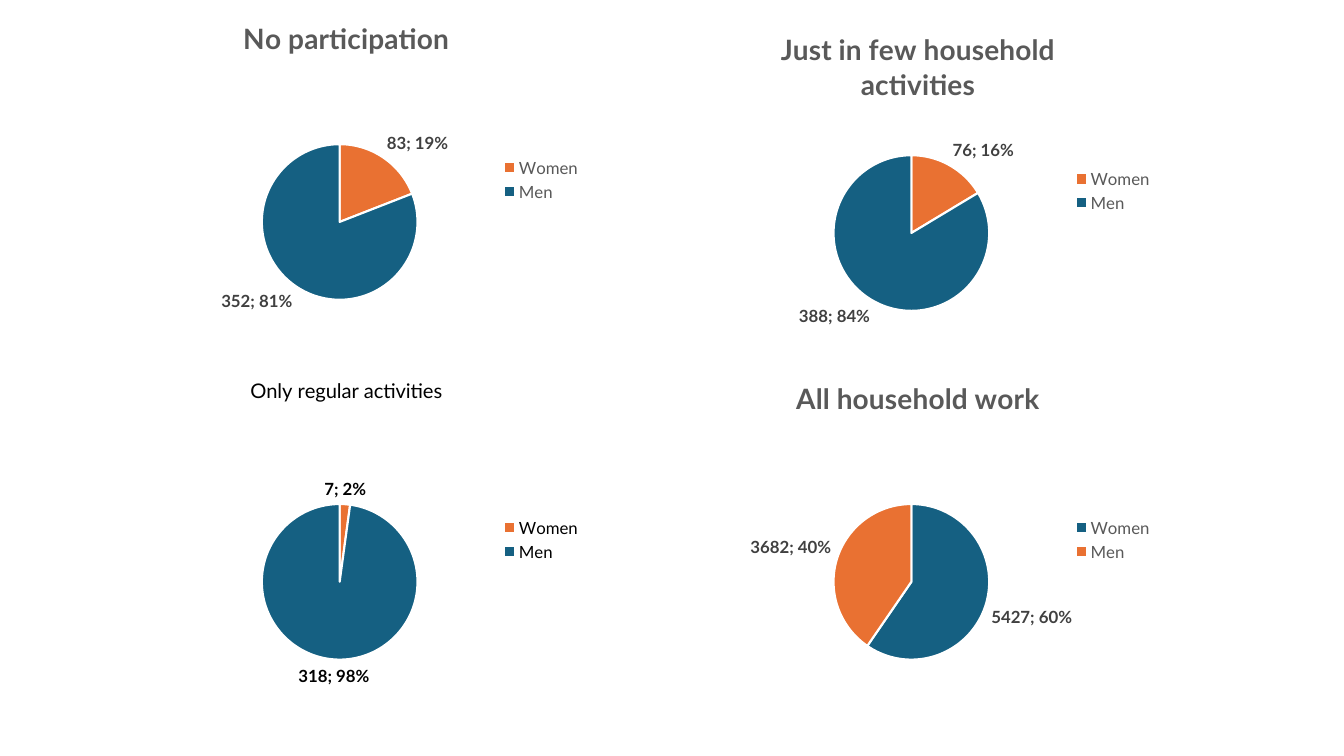
import dataclasses

import pptx
import pptx.chart.chart
import pptx.chart.data
import pptx.dml.color
import pptx.enum.chart
import pptx.oxml
import pptx.oxml.ns
import pptx.text.text
import pptx.util

FONT = "Lato"
COLORS = {
    "women": "E97132",
    "men": "156082",
    "grey": "595959",
    "label": "404040",
    "black": "000000",
    "white": "FFFFFF",
}
CHART_SIZE = 4.87, 3.57
PLOT_LAYOUT = {"x": 0.328, "y": 0.234, "w": 0.317, "h": 0.766}
LEFT, RIGHT = 1, 6.67
PIE_COLORS = "women", "men"


@dataclasses.dataclass
class PieChart:
    title: str
    left: float
    top: float
    counts: tuple[int, int]
    percents: tuple[int, int]
    count_colors: tuple[str, str] = PIE_COLORS
    title_size: float = 20
    title_bold: bool = True
    text_color: str = "grey"
    label_color: str = "label"


PIES = [
    PieChart("No participation", LEFT, 0, (83, 352), (19, 81)),
    PieChart("Just in few household activities", RIGHT, 0.11, (76, 388), (16, 84)),
    PieChart("Only regular activities", LEFT, 3.57, (7, 318), (2, 98),
             title_size=14.4, title_bold=False, text_color="black", label_color="black"),
    PieChart("All household work", RIGHT, 3.57, (5427, 3682), (60, 40), ("men", "women")),
]


def rgb(name: str) -> pptx.dml.color.RGBColor:
    return pptx.dml.color.RGBColor.from_string(COLORS[name])


def format_font(font: pptx.text.text.Font, size: float, color: str, bold: bool = False) -> None:
    values = {"name": FONT, "size": pptx.util.Pt(size), "bold": bold}
    for attribute, value in values.items():
        setattr(font, attribute, value)
    font.color.rgb = rgb(color)


def place_plot(chart: pptx.chart.chart.Chart) -> None:
    """Fix the inner plot area as fractions of the chart."""
    plot_area = chart.element.xpath("c:chart/c:plotArea")[0]
    for layout in plot_area.xpath("c:layout"):
        plot_area.remove(layout)
    sizes = "".join(f'<c:{key} val="{value}"/>' for key, value in PLOT_LAYOUT.items())
    plot_area.insert(0, pptx.oxml.parse_xml(
        f'<c:layout {pptx.oxml.ns.nsdecls("c")}><c:manualLayout>'
        '<c:layoutTarget val="inner"/><c:xMode val="edge"/><c:yMode val="edge"/>'
        f'{sizes}</c:manualLayout></c:layout>'))


def separate_labels(chart: pptx.chart.chart.Chart) -> None:
    """Put a semicolon between the parts of each data label."""
    for flag in chart.element.xpath(".//c:dLbls/c:showBubbleSize"):
        flag.addnext(pptx.oxml.parse_xml(
            f'<c:separator {pptx.oxml.ns.nsdecls("c")}>; </c:separator>'))


def add_pie(page: pptx.slide.Slide, pie: PieChart) -> None:
    # Data: counts first, then their percentages
    chart_data = pptx.chart.data.CategoryChartData()
    chart_data.categories = ["Women", "Men"]
    chart_data.add_series("Series 1", pie.counts)
    chart_data.add_series("Series 2", pie.percents)
    box = [pptx.util.Inches(length) for length in (pie.left, pie.top, *CHART_SIZE)]
    chart = page.shapes.add_chart(
        pptx.enum.chart.XL_CHART_TYPE.PIE, *box, chart_data).chart
    chart.replace_data(chart_data)  # the pie template alone may hold one series only
    format_font(chart.font, 10, "black")

    # Title
    chart.has_title = True
    frame = chart.chart_title.text_frame
    frame.text = pie.title
    format_font(frame.paragraphs[0].runs[0].font, pie.title_size, pie.text_color, pie.title_bold)

    # Legend
    chart.has_legend = True
    chart.legend.position = pptx.enum.chart.XL_LEGEND_POSITION.RIGHT
    chart.legend.include_in_layout = False
    format_font(chart.legend.font, 12, pie.text_color)

    # Slices and labels
    plot = chart.plots[0]
    plot.vary_by_categories = True
    for series, colors, is_count in zip(
            plot.series, (pie.count_colors, PIE_COLORS), (True, False)):
        for index, color in enumerate(colors):
            slice_format = series.points[index].format
            slice_format.fill.solid()
            slice_format.fill.fore_color.rgb = rgb(color)
            slice_format.line.color.rgb = rgb("white")
            slice_format.line.width = pptx.util.Pt(1.5)
        label_values = {
            "show_value": is_count,
            "show_category_name": not is_count,
            "show_percentage": True,
            "position": pptx.enum.chart.XL_LABEL_POSITION.OUTSIDE_END,
        }
        labels = series.data_labels
        for attribute, value in label_values.items():
            setattr(labels, attribute, value)
        format_font(labels.font, 12, pie.label_color, is_count)

    separate_labels(chart)
    place_plot(chart)


def main() -> None:
    deck = pptx.Presentation()
    deck.slide_width = pptx.util.Inches(13.33)
    deck.slide_height = pptx.util.Inches(7.5)
    page = deck.slides.add_slide(deck.slide_layouts[6])
    for pie in PIES:
        add_pie(page, pie)
    deck.save("out.pptx")


if __name__ == "__main__":
    main()
